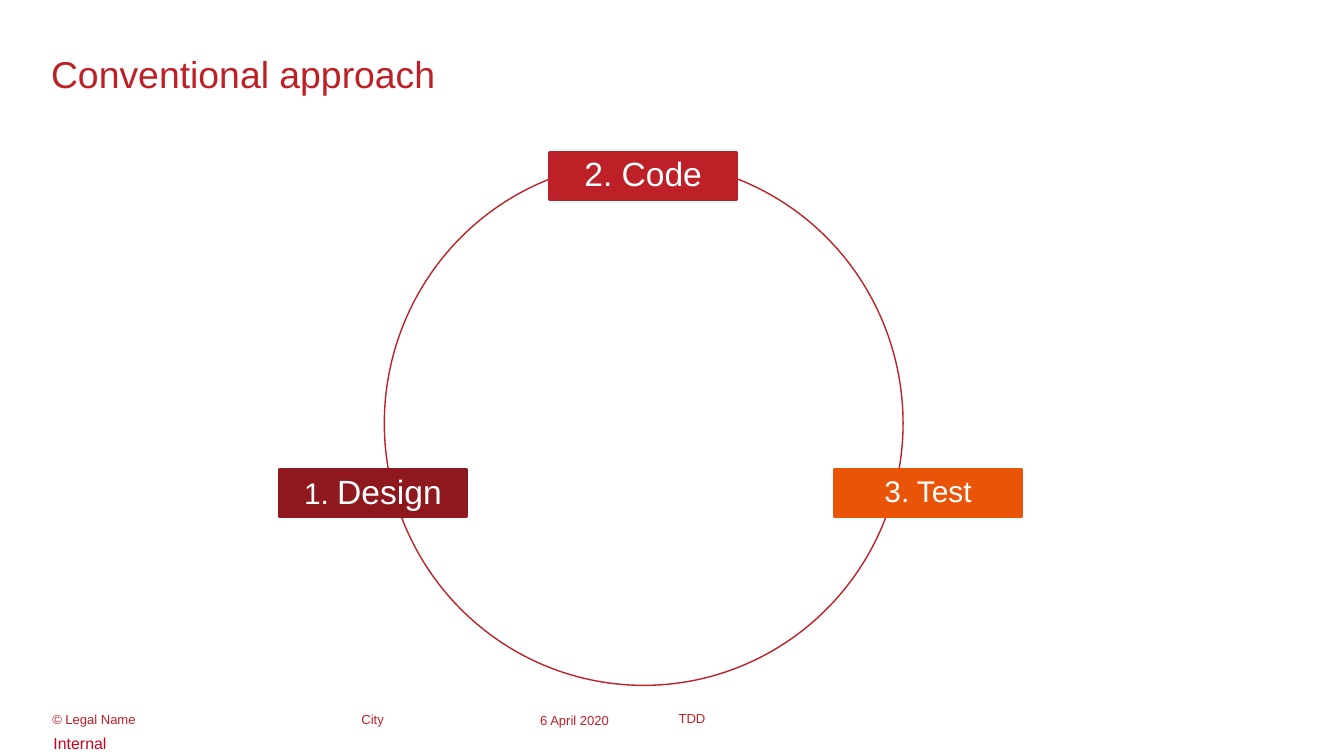
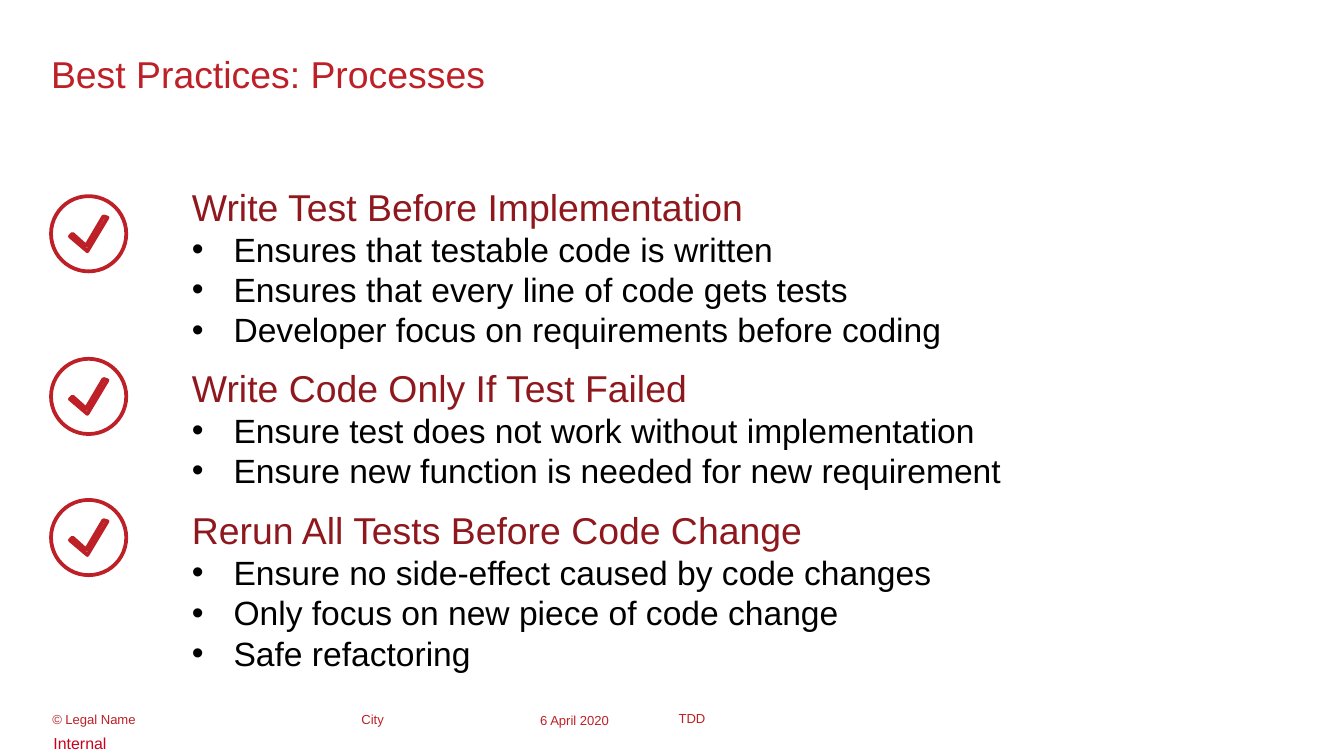
"""Build two slides on test-driven development."""
import pptx
import pptx.dml.color
import pptx.enum.shapes
import pptx.enum.text
import pptx.oxml.ns
import pptx.util
from lxml import etree

Inches = pptx.util.Inches
Pt = pptx.util.Pt
ANCHOR = pptx.enum.text.MSO_ANCHOR
ALIGN = pptx.enum.text.PP_ALIGN
SHAPE = pptx.enum.shapes.MSO_SHAPE

SLIDE_WIDTH = 10
SLIDE_HEIGHT = SLIDE_WIDTH * 9 / 16
COLORS = {
    "red": "BD2027",
    "dark": "8E181D",
    "orange": "E95409",
    "label": "CA001F",
    "white": "FFFFFF",
    "black": "000000",
}
FONT = "Arial"
NO_MARGINS = {f"margin_{side}": 0 for side in ("left", "top", "right", "bottom")}
FOOTER_PARAGRAPH = {"line_spacing": 0.96, "space_before": Pt(0.1)}
STAGE_PARAGRAPH = {"alignment": ALIGN.CENTER, "line_spacing": 0.9, "space_after": Pt(10)}
FOOTERS = [
    ("© Legal Name", (0.38, 5.3, 2.16, 0.09), ANCHOR.TOP, 0.01, FOOTER_PARAGRAPH),
    ("City", (2.68, 5.3, 1.23, 0.09), ANCHOR.TOP, 0.01, FOOTER_PARAGRAPH),
    ("6 April 2020", (4.02, 5.3, 0.87, 0.09), ANCHOR.TOP, 0, {}),
    ("TDD", (5.05, 5.3, 3.17, 0.09), ANCHOR.MIDDLE, 0, {}),
]
STAGES = [
    ((4.09, 1.14), "red", [("2. Code", 18)]),
    ((6.21, 3.5), "orange", [("3. Test", 16)]),
    ((2.08, 3.5), "dark", [("1. ", 16), ("Design", 18)]),
]
CHECK_OFFSETS = [(0.26, 0.37), (0.16, 0.28), (0.14, 0.3), (0.27, 0.41), (0.42, 0.16), (0.39, 0.15)]
PRACTICES = [
    (1.46, (1.33, 1.34, 6.4, 1.29), "Write Test Before Implementation", [
        "Ensures that testable code is written",
        "Ensures that every line of code gets tests",
        "Developer focus on requirements before coding",
    ]),
    (2.67, (1.33, 2.72, 7.2, 0.92), "Write Code Only If Test Failed", [
        "Ensure test does not work without implementation",
        "Ensure new function is needed for new requirement",
    ]),
    (3.72, (1.33, 3.79, 7.2, 1.2), "Rerun All Tests Before Code Change", [
        "Ensure no side-effect caused by code changes",
        "Only focus on new piece of code change",
        "Safe refactoring",
    ]),
]


def color(name):
    """Return the named colour."""
    return pptx.dml.color.RGBColor.from_string(COLORS[name])


def set_attributes(target, values):
    """Set every format value on the target."""
    for name, value in values.items():
        setattr(target, name, value)


def add_run(paragraph, text, size, color_name):
    """Add a run of text to a paragraph."""
    run = paragraph.add_run()
    run.text = text
    set_attributes(run.font, {"name": FONT, "size": Pt(size)})
    run.font.color.rgb = color(color_name)


def indent(paragraph, left, first=0):
    """Indent a paragraph and its first line."""
    properties = paragraph._p.get_or_add_pPr()
    properties.set("marL", str(Inches(left)))
    properties.set("indent", str(Inches(first)))
    return properties


def add_bullet(paragraph):
    """Give a paragraph a hanging bullet."""
    properties = indent(paragraph, 0.31, -0.31)
    font = etree.SubElement(properties, pptx.oxml.ns.qn("a:buFont"))
    font.set("typeface", FONT)
    bullet = etree.SubElement(properties, pptx.oxml.ns.qn("a:buChar"))
    bullet.set("char", "•")


def add_text_box(slide, box, frame_format):
    """Add a wrapping text box and return its frame."""
    frame = slide.shapes.add_textbox(*map(Inches, box)).text_frame
    set_attributes(frame, {"word_wrap": True, **frame_format})
    return frame


def style_shape(shape, fill, line, width):
    """Set fill and line of a shape and drop its shadow."""
    shape.shadow.inherit = False
    if fill:
        shape.fill.solid()
        shape.fill.fore_color.rgb = color(fill)
    else:
        shape.fill.background()
    shape.line.color.rgb = color(line)
    shape.line.width = Pt(width)


def add_slide(presentation, title):
    """Add a slide with its title and footers."""
    slide = presentation.slides.add_slide(presentation.slide_layouts[6])
    for text, box, anchor, left, paragraph_format in FOOTERS:
        frame = add_text_box(slide, box, {**NO_MARGINS, "vertical_anchor": anchor})
        set_attributes(frame.paragraphs[0], paragraph_format)
        indent(frame.paragraphs[0], left)
        add_run(frame.paragraphs[0], text, 7, "red")
    frame = add_text_box(slide, (0, 5.41, SLIDE_WIDTH, 0.24), {})
    indent(frame.paragraphs[0], 0.3)
    add_run(frame.paragraphs[0], "Internal", 8.5, "label")
    frame = add_text_box(slide, (0.38, 0.38, 9.17, 0.51), NO_MARGINS)
    add_run(frame.paragraphs[0], title, 20, "red")
    return slide


def add_cycle(slide):
    """Draw the ring on which the stages sit."""
    ring = slide.shapes.add_shape(SHAPE.OVAL, *map(Inches, (2.86, 1.2, 3.86, 3.9)))
    style_shape(ring, None, "red", 0.75)


def add_stage(slide, position, fill, runs):
    """Add one labelled stage of the cycle."""
    shape = slide.shapes.add_shape(SHAPE.RECTANGLE, *map(Inches, (*position, 1.39, 0.34)))
    style_shape(shape, fill, fill, 2)
    shape.text_frame.vertical_anchor = ANCHOR.MIDDLE
    paragraph = shape.text_frame.paragraphs[0]
    set_attributes(paragraph, STAGE_PARAGRAPH)
    for text, size in runs:
        add_run(paragraph, text, size, "white")


def add_check_badge(slide, left, top):
    """Add a circle with a check mark, grouped."""
    group = slide.shapes.add_group_shape()
    circle = group.shapes.add_shape(SHAPE.OVAL, *map(Inches, (left, top, 0.56, 0.56)))
    points = [(Inches(left + x), Inches(top + y)) for x, y in CHECK_OFFSETS]
    builder = group.shapes.build_freeform(*points[0])
    builder.add_line_segments(points[1:], close=True)
    for shape in (circle, builder.convert_to_shape()):
        style_shape(shape, "white", "red", 2)


def add_practice(slide, box, heading, points):
    """Add a heading with its bullet points."""
    frame = add_text_box(slide, box, {"vertical_anchor": ANCHOR.MIDDLE})
    add_run(frame.paragraphs[0], heading, 20, "dark")
    for point in points:
        paragraph = frame.add_paragraph()
        add_bullet(paragraph)
        add_run(paragraph, point, 18, "black")


def main():
    """Build and save the presentation."""
    presentation = pptx.Presentation()
    presentation.slide_width = Inches(SLIDE_WIDTH)
    presentation.slide_height = Inches(SLIDE_HEIGHT)

    slide = add_slide(presentation, "Conventional approach")
    add_cycle(slide)
    for stage in STAGES:
        add_stage(slide, *stage)

    slide = add_slide(presentation, "Best Practices: Processes")
    for badge_top, box, heading, points in PRACTICES:
        add_check_badge(slide, 0.38, badge_top)
        add_practice(slide, box, heading, points)

    presentation.save("out.pptx")


if __name__ == "__main__":
    main()
